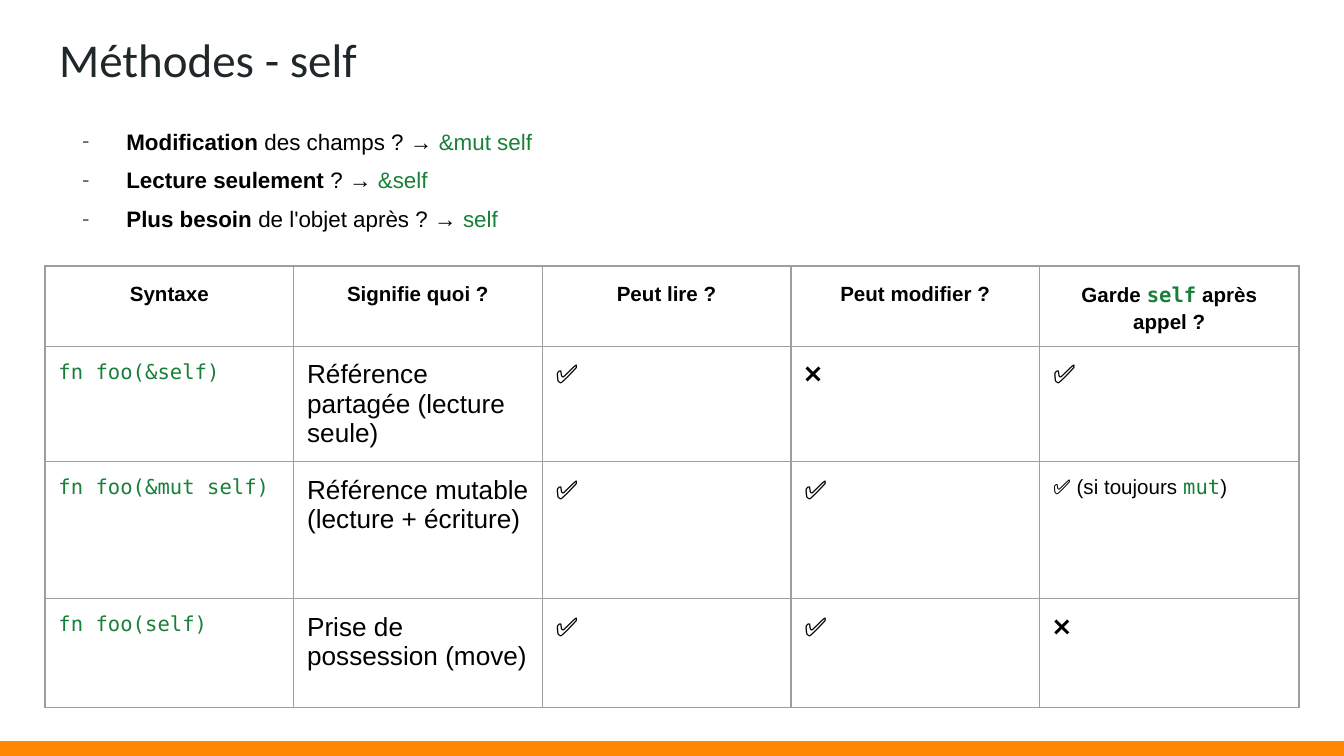
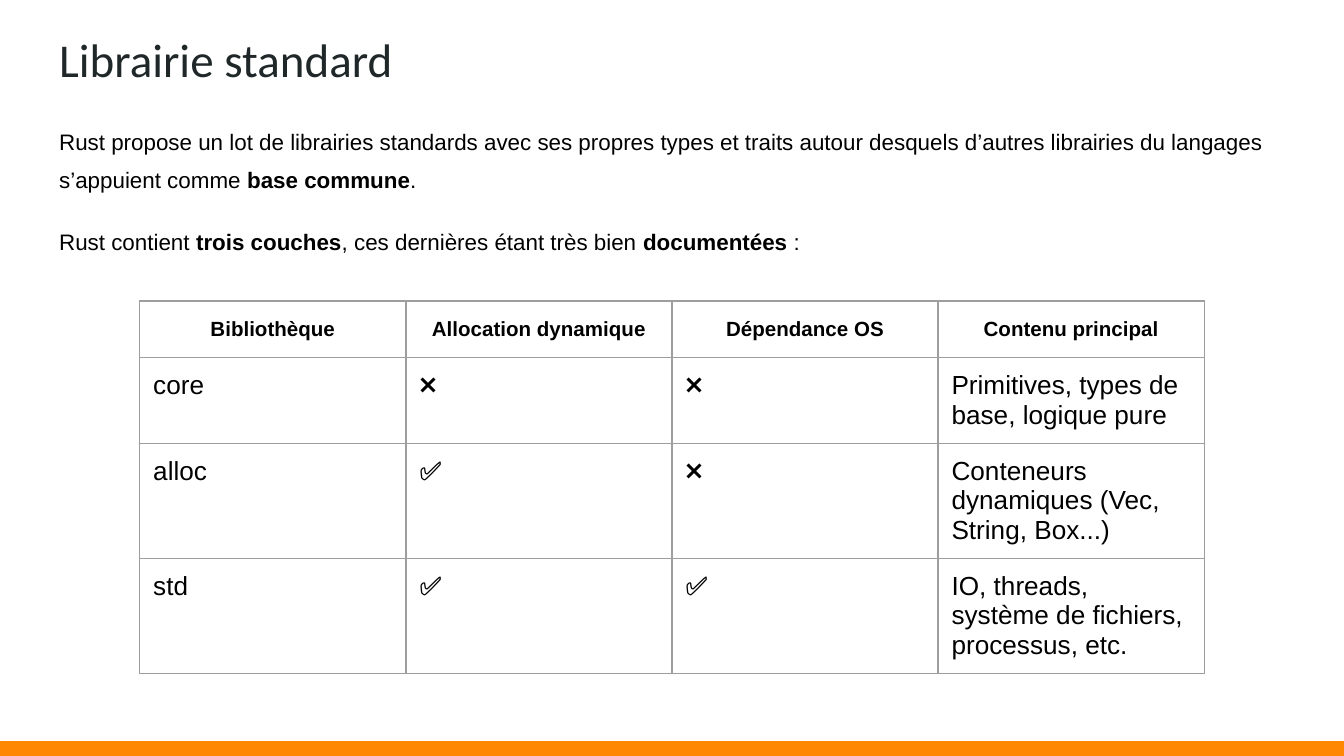
from lxml import etree
from pptx import Presentation
from pptx.dml.color import RGBColor
from pptx.enum.shapes import MSO_SHAPE
from pptx.enum.text import MSO_ANCHOR, MSO_AUTO_SIZE, PP_ALIGN
from pptx.oxml.ns import qn
from pptx.util import Emu, Inches, Pt

RECTANGLE = MSO_SHAPE.RECTANGLE
TOP, NO_FIT = MSO_ANCHOR.TOP, MSO_AUTO_SIZE.NONE
LEFT, CENTER = PP_ALIGN.LEFT, PP_ALIGN.CENTER

ORANGE = RGBColor(0xFF, 0x87, 0x01)
INK = RGBColor(0x20, 0x27, 0x29)
BLACK = RGBColor(0x00, 0x00, 0x00)
GREEN = RGBColor(0x18, 0x80, 0x38)
BULLET_GREY = RGBColor(0x61, 0x61, 0x61)
BORDER_GREY = RGBColor(0x9E, 0x9E, 0x9E)

TITLE_FONT, TEXT_FONT, CODE_FONT = "Calibri", "Arial", "DejaVu Sans Mono"
TITLE_SIZE, BODY_SIZE, CELL_SIZE, SMALL_SIZE = Pt(25.2), Pt(12), Pt(14), Pt(11)

SLIDE_WIDTH = Inches(10)
SLIDE_HEIGHT = Emu(SLIDE_WIDTH * 9 // 16)
SIDE = Inches(0.34)
CONTENT_WIDTH = SLIDE_WIDTH - 2 * SIDE
TITLE_TOP, BODY_TOP = Inches(0.13), Inches(0.76)
BODY_HEIGHT = Inches(4.66)
BAND_HEIGHT = Inches(0.11)
INSET = Inches(0.1)

# Run styles
PLAIN, BOLD, ACCENT, CODE = "plain", "bold", "accent", "code"
YES, NO = "✅", "❌"


def set_insets(frame):
    frame.margin_left = frame.margin_right = INSET
    frame.margin_top = frame.margin_bottom = INSET


def style_font(font, size, name=TEXT_FONT, color=BLACK, bold=False):
    font.size, font.name, font.bold = size, name, bold
    font.color.rgb = color


def write_runs(paragraph, content, size, bold=False):
    """Write a string, or a list of (text, style) runs, into a paragraph."""
    runs = [(content, PLAIN)] if isinstance(content, str) else content
    if len(runs) == 1 and runs[0][1] == CODE:
        style_font(paragraph.font, size, CODE_FONT, GREEN, bold)
    else:
        style_font(paragraph.font, size, bold=bold)
    for text, style in runs:
        run = paragraph.add_run()
        run.text = text
        if style == BOLD:
            run.font.bold = True
        elif style in (ACCENT, CODE) and len(runs) > 1:
            run.font.color.rgb = GREEN
            if style == CODE:
                run.font.name = CODE_FONT


def set_bullet(paragraph, char=None):
    properties = paragraph._p.get_or_add_pPr()
    if char is None:
        properties.set("marL", "0")
        properties.set("indent", "0")
        etree.SubElement(properties, qn("a:buNone"))
        return
    properties.set("marL", str(Inches(0.5)))
    properties.set("indent", str(Inches(-0.33)))
    color = etree.SubElement(properties, qn("a:buClr"))
    etree.SubElement(color, qn("a:srgbClr"), val=str(BULLET_GREY))
    etree.SubElement(properties, qn("a:buChar"), char=char)


def add_band(slide):
    band = slide.shapes.add_shape(
        RECTANGLE, 0, SLIDE_HEIGHT - BAND_HEIGHT, SLIDE_WIDTH, BAND_HEIGHT)
    band.shadow.inherit = False
    band.fill.solid()
    band.fill.fore_color.rgb = ORANGE
    band.line.fill.background()


def place(placeholder, top, height):
    placeholder.left, placeholder.top = SIDE, top
    placeholder.width, placeholder.height = CONTENT_WIDTH, height
    frame = placeholder.text_frame
    set_insets(frame)
    frame.word_wrap = True
    frame.auto_size = NO_FIT
    frame.vertical_anchor = TOP
    return frame


def add_content_slide(prs, title, paragraphs, bullet=None, gap=Pt(0)):
    slide = prs.slides.add_slide(prs.slide_layouts[1])
    add_band(slide)
    heading = place(slide.shapes.title, TITLE_TOP, BODY_TOP - TITLE_TOP).paragraphs[0]
    heading.text = title
    heading.alignment = LEFT
    style_font(heading.font, TITLE_SIZE, TITLE_FONT, INK)

    body = place(slide.placeholders[1], BODY_TOP, BODY_HEIGHT)
    for index, content in enumerate(paragraphs):
        paragraph = body.add_paragraph() if index else body.paragraphs[0]
        set_bullet(paragraph, bullet)
        paragraph.line_spacing = 1.45
        paragraph.space_before = gap if index else Pt(0)
        write_runs(paragraph, content, BODY_SIZE)
    return slide


def set_borders(cell):
    properties = cell._tc.get_or_add_tcPr()
    for side in ("lnL", "lnR", "lnT", "lnB"):
        line = etree.SubElement(properties, qn(f"a:{side}"), w=str(Pt(0.75)))
        fill = etree.SubElement(line, qn("a:solidFill"))
        etree.SubElement(fill, qn("a:srgbClr"), val=str(BORDER_GREY))


def fill_cell(cell, content, is_header):
    set_borders(cell)
    cell.fill.background()
    set_insets(cell)
    paragraph = cell.text_frame.paragraphs[0]
    if is_header:
        paragraph.alignment = CENTER
        paragraph.line_spacing = 1.15
    # Headers and cells with mixed or code runs use the small size
    small = is_header or not isinstance(content, str)
    write_runs(paragraph, content, SMALL_SIZE if small else CELL_SIZE, is_header)


def add_centered_table(slide, top, widths, heights, rows):
    total_width = Inches(sum(widths))
    table = slide.shapes.add_table(
        len(rows), len(widths), (SLIDE_WIDTH - total_width) // 2, Inches(top),
        total_width, Inches(sum(heights))).table
    table.horz_banding = False
    for column, width in zip(table.columns, widths):
        column.width = Inches(width)
    for row, height, contents in zip(table.rows, heights, rows):
        row.height = Inches(height)
        for cell, content in zip(row.cells, contents):
            fill_cell(cell, content, contents is rows[0])


def add_self_slide(prs):
    slide = add_content_slide(prs, "Méthodes - self", [
        [("Modification", BOLD), (" des champs ? → ", PLAIN), ("&mut self", ACCENT)],
        [("Lecture seulement", BOLD), (" ? → ", PLAIN), ("&self", ACCENT)],
        [("Plus besoin", BOLD), (" de l'objet après ? → ", PLAIN), ("self", ACCENT)],
    ], bullet="-")
    add_centered_table(slide, 1.98, [1.85] * 4 + [1.93], [0.53, 0.81, 1.02, 0.81], [
        ["Syntaxe", "Signifie quoi ?", "Peut lire ?", "Peut modifier ?",
         [("Garde ", PLAIN), ("self", CODE), (" après appel ?", PLAIN)]],
        [[("fn foo(&self)", CODE)], "Référence partagée (lecture seule)",
         YES, NO, YES],
        [[("fn foo(&mut self)", CODE)], "Référence mutable (lecture + écriture)",
         YES, YES, [(f"{YES} (si toujours ", PLAIN), ("mut", CODE), (")", PLAIN)]],
        [[("fn foo(self)", CODE)], "Prise de possession (move)", YES, YES, NO],
    ])


def add_library_slide(prs):
    slide = add_content_slide(prs, "Librairie standard", [
        [("Rust propose un lot de librairies standards avec ses propres types et "
          "traits autour desquels d’autres librairies du langages s’appuient comme ",
          PLAIN), ("base commune", BOLD), (".", PLAIN)],
        [("Rust contient ", PLAIN), ("trois couches", BOLD),
         (", ces dernières étant très bien ", PLAIN), ("documentées ", BOLD),
         (":", PLAIN)],
    ], gap=Pt(12))
    add_centered_table(slide, 2.24, [1.98] * 4, [0.42] * 4, [
        ["Bibliothèque", "Allocation dynamique", "Dépendance OS", "Contenu principal"],
        ["core", NO, NO, "Primitives, types de base, logique pure"],
        ["alloc", YES, NO, "Conteneurs dynamiques (Vec, String, Box...)"],
        ["std", YES, YES, "IO, threads, système de fichiers, processus, etc."],
    ])


def main():
    prs = Presentation()
    prs.slide_width, prs.slide_height = SLIDE_WIDTH, SLIDE_HEIGHT
    add_self_slide(prs)
    add_library_slide(prs)
    prs.save("out.pptx")


if __name__ == "__main__":
    main()
